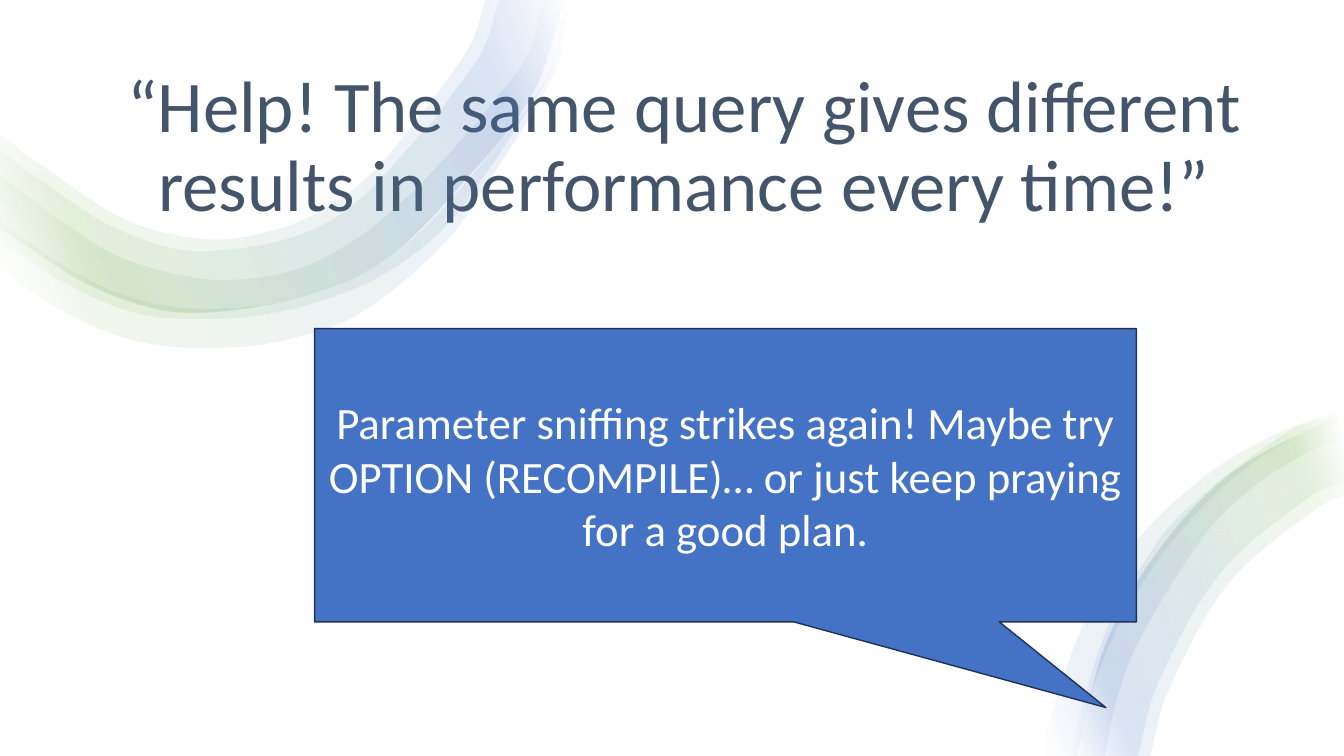
from math import dist

from lxml.etree import SubElement
from pptx import Presentation
from pptx.dml.color import RGBColor
from pptx.enum.shapes import MSO_SHAPE
from pptx.enum.text import MSO_ANCHOR, PP_ALIGN
from pptx.oxml.ns import qn
from pptx.util import Inches, Pt

COLS, ROWS = 13.33, 7.5
WHITE = RGBColor(0xFF, 0xFF, 0xFF)
SLATE = RGBColor(0x44, 0x54, 0x6A)
BLUE = RGBColor(0x44, 0x72, 0xC4)
NAVY = RGBColor(0x1E, 0x32, 0x56)
GREEN = RGBColor(0x70, 0xAD, 0x47)
RIBBON_STOPS = [(2, WHITE), (16, GREEN), (85, BLUE), (100, WHITE)]
RIBBON_OPACITY = 10

LEFT_LOWER = [(0, 2.27), (1.02, 2.89), (2.02, 3.1), (3.62, 2.7), (4.77, 1.61),
              (5.3, 0.89), (5.59, 0)]
LEFT_BANDS = [
    ([(5.61, 0), (5.47, 0.64), (5.21, 1.08), (4.66, 1.75), (4.21, 2.25),
      (3.68, 2.66), (3.08, 2.92), (2.42, 3.04), (1.75, 3.04), (1.12, 2.88),
      (0.54, 2.57), (0, 2.19)],
     [(0, 2.67), (0.62, 3.08), (1.19, 3.33), (1.7, 3.43), (2.28, 3.44),
      (2.84, 3.36), (3.55, 3.11), (4.4, 2.41), (4.81, 1.84), (5.18, 1.27),
      (5.52, 0.66), (5.65, 0)]),
    ([(5.38, 0), (5.24, 0.52), (4.88, 1.02), (4.46, 1.51), (4.03, 1.95),
      (3.56, 2.34), (3.03, 2.63), (2.58, 2.74), (2.03, 2.76), (1.23, 2.56),
      (0.7, 2.25), (0, 1.74)],
     [(0, 2.39), (0.7, 2.83), (1.26, 3.07), (1.74, 3.15), (2.46, 3.13),
      (3.16, 2.98), (3.82, 2.7), (4.38, 2.27), (4.8, 1.74), (5.16, 1.2),
      (5.42, 0.77), (5.55, 0.36), (5.59, 0)]),
    ([(4.94, 0), (4.79, 0.49), (4.47, 0.95), (4.24, 1.26), (3.25, 2.2),
      (2.02, 2.49), (1.18, 2.28), (0.33, 1.74), (0, 1.49)], LEFT_LOWER),
    ([(4.81, 0), (4.67, 0.43), (4.37, 0.88), (4.13, 1.19), (3.7, 1.7),
      (3.22, 2.07), (2.65, 2.3), (2.02, 2.37), (1.25, 2.18), (0.41, 1.64),
      (0, 1.34)], LEFT_LOWER),
]

RIGHT_OUTER = [(13.33, 4.09), (12.24, 4.67), (11.52, 5.42), (10.99, 6.34),
               (10.67, 7.5)]
RIGHT_BANDS = [
    ([(13.33, 4.06), (12.82, 4.23), (12.21, 4.54), (11.65, 4.97),
      (11.16, 5.5), (10.78, 6.11), (10.41, 7.15), (10.36, 7.5)],
     [(10.68, 7.5), (10.82, 6.9), (11.06, 6.27), (11.4, 5.68),
      (11.81, 5.15), (12.3, 4.68), (12.86, 4.32), (13.33, 4.13)]),
    (RIGHT_OUTER,
     [(11.41, 7.5), (11.58, 6.87), (12.19, 5.78), (13.07, 5.03),
      (13.33, 4.91)]),
    ([(13.33, 4.08), (12.79, 4.27), (11.73, 5.08), (11.32, 5.62),
      (10.99, 6.22), (10.68, 7.21), (10.63, 7.5)],
     [(10.96, 7.5), (11.07, 6.97), (11.29, 6.37), (11.95, 5.3),
      (12.39, 4.86), (12.9, 4.52), (13.33, 4.33)]),
    (RIGHT_OUTER,
     [(11.29, 7.5), (11.47, 6.82), (12.1, 5.69), (13.01, 4.91),
      (13.33, 4.77)]),
]


def handles(edge):
    padded = [edge[0], *edge, edge[-1]]
    pairs = []
    for a, b, c, d in zip(padded, padded[1:], padded[2:], padded[3:]):
        reach = dist(b, c) / 3
        out, back = reach / dist(a, c), reach / dist(b, d)
        pairs.append(([q + (r - p) * out for p, q, r in zip(a, b, c)],
                      [q - (r - p) * back for p, q, r in zip(b, c, d)]))
    return pairs


def curve_outline(sp, edges, origin):
    lines = list(sp._element.spPr.iter(qn("a:lnTo")))
    first, second = edges
    curves = lines[:len(first) - 1] + lines[len(first):len(first) + len(second) - 1]
    for line, pair in zip(curves, handles(first) + handles(second)):
        line.tag = qn("a:cubicBezTo")
        for i, (x, y) in enumerate(pair):
            pt = SubElement(line, qn("a:pt"), x=str(round(x - origin[0])),
                            y=str(round(y - origin[1])))
            line.insert(i, pt)


def fill_ribbon(sp, angle):
    sp.fill.gradient()
    sp.fill.gradient_angle = angle
    stops = next(sp._element.spPr.iter(qn("a:gsLst")))
    for stop in list(stops):
        stops.remove(stop)
    for share, color in RIBBON_STOPS:
        stop = SubElement(stops, qn("a:gs"), pos=str(share * 1000))
        rgb = SubElement(stop, qn("a:srgbClr"), val=str(color))
        SubElement(rgb, qn("a:alpha"), val=str(RIBBON_OPACITY * 1000))


def add_ribbon(s, box, bands, angle):
    left, top, width, height = box
    group = s.shapes.add_group_shape()
    for band in bands:
        edges = [[(round(left + x / COLS * width), round(top + y / ROWS * height))
                  for x, y in edge] for edge in band]
        outline = edges[0] + edges[1]
        builder = group.shapes.build_freeform(*outline[0])
        builder.add_line_segments(outline[1:])
        sp = builder.convert_to_shape()
        curve_outline(sp, edges, [min(axis) for axis in zip(*outline)])
        sp.shadow.inherit = False
        sp.line.fill.background()
        fill_ribbon(sp, angle)


def write(sp, text, size, color, anchor, spacing=None, after=None):
    tf = sp.text_frame
    tf.word_wrap = True
    tf.vertical_anchor = anchor
    p = tf.paragraphs[0]
    p.alignment = PP_ALIGN.CENTER
    p.line_spacing = spacing
    p.space_after = after
    r = p.add_run()
    r.text = text
    r.font.name = "Calibri"
    r.font.size = Pt(size)
    r.font.color.rgb = color


def add_filled(s, preset, box, color):
    sp = s.shapes.add_shape(preset, *box)
    sp.shadow.inherit = False
    sp.fill.solid()
    sp.fill.fore_color.rgb = color
    sp.line.fill.background()
    return sp


def add_title(s, box, text):
    sp = s.shapes.add_textbox(*box)
    write(sp, text, 52, SLATE, MSO_ANCHOR.BOTTOM, spacing=0.9, after=Pt(6))


def add_callout(s, box, text):
    sp = add_filled(s, MSO_SHAPE.RECTANGULAR_CALLOUT, box, BLUE)
    sp.adjustments[0] = 0.463
    sp.adjustments[1] = 0.792
    sp.line.color.rgb = NAVY
    sp.line.width = Pt(1)
    write(sp, text, 32, WHITE, MSO_ANCHOR.MIDDLE)


def main():
    prs = Presentation()
    prs.slide_width, prs.slide_height = Inches(COLS), Inches(ROWS)

    def area(col, row, cols, rows):
        return (round(prs.slide_width * col / COLS),
                round(prs.slide_height * row / ROWS),
                round(prs.slide_width * cols / COLS),
                round(prs.slide_height * rows / ROWS))

    s = prs.slides.add_slide(prs.slide_layouts[6])
    page = area(0, 0, COLS, ROWS)
    add_filled(s, MSO_SHAPE.RECTANGLE, page, WHITE)
    add_title(s, area(0.78, 0.57, 12.01, 1.73),
              "“Help! The same query gives different results in performance every time!”")
    add_ribbon(s, page, LEFT_BANDS, 20)
    add_ribbon(s, page, RIGHT_BANDS, 200)
    add_callout(s, area(3.12, 3.26, 8.15, 2.91),
                "Parameter sniffing strikes again! Maybe try OPTION (RECOMPILE)… "
                "or just keep praying for a good plan.")
    prs.save("out.pptx")


if __name__ == "__main__":
    main()
